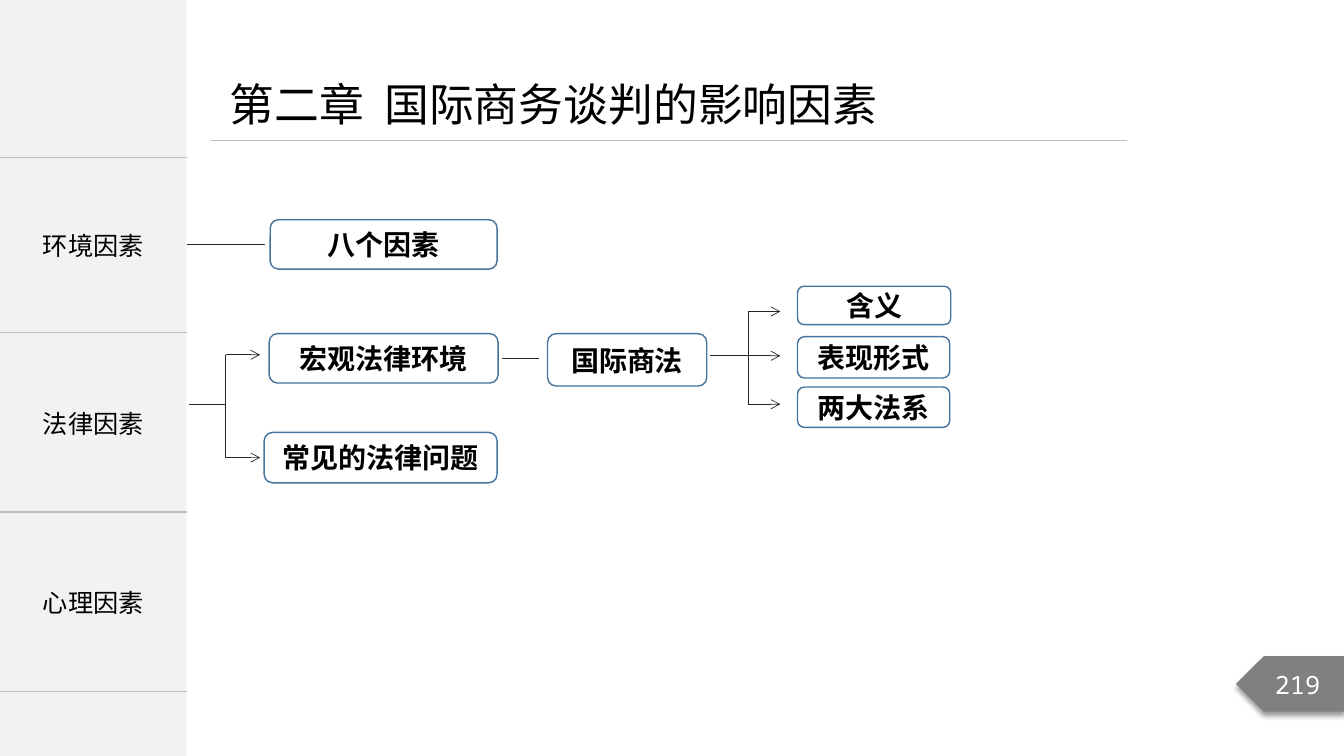
import pptx
import pptx.dml.color
import pptx.enum.shapes
import pptx.enum.text
import pptx.oxml
import pptx.oxml.ns
import pptx.util
from pptx.util import Inches

RGBColor = pptx.dml.color.RGBColor
SHAPE = pptx.enum.shapes.MSO_SHAPE
PP_ALIGN = pptx.enum.text.PP_ALIGN
MIDDLE = pptx.enum.text.MSO_ANCHOR.MIDDLE
BLACK = RGBColor(0x00, 0x00, 0x00)
WHITE = RGBColor(0xFF, 0xFF, 0xFF)
PANEL = RGBColor(0xF2, 0xF2, 0xF2)
RULE = RGBColor(0xBF, 0xBF, 0xBF)
TAG = RGBColor(0x80, 0x80, 0x80)
BLUE = RGBColor(0x43, 0x73, 0x9E)
DARK = RGBColor(0x26, 0x26, 0x26)
CJK = "Noto Sans CJK SC"
NS = pptx.oxml.ns.nsdecls("a")


def write(tf, text, size, font=CJK, color=BLACK, align=PP_ALIGN.CENTER, bold=False):
    p = tf.paragraphs[0]
    p.text = text
    p.alignment = align
    p.font.name = font
    p.font.size = pptx.util.Pt(size)
    p.font.bold = bold
    p.font.color.rgb = color
    # The East Asian typeface follows the Latin one
    latin = p.font._element.find(pptx.oxml.ns.qn("a:latin"))
    latin.addnext(pptx.oxml.parse_xml(f'<a:ea {NS} typeface="{font}"/>'))


def draw_line(x1, y1, x2, y2, color=DARK, arrow=False):
    c = s.shapes.add_connector(pptx.enum.shapes.MSO_CONNECTOR.STRAIGHT,
                               Inches(x1), Inches(y1), Inches(x2), Inches(y2))
    c.line.color.rgb = color
    c.line.width = pptx.util.Pt(0.5)
    if arrow:
        c.line._get_or_add_ln().append(
            pptx.oxml.parse_xml(f'<a:tailEnd {NS} type="arrow"/>'))
    c._element.spPr.append(pptx.oxml.parse_xml(f"<a:effectLst {NS}/>"))


prs = pptx.Presentation()
prs.slide_width, prs.slide_height = Inches(13.33), Inches(7.5)
s = prs.slides.add_slide(prs.slide_layouts[6])

# Sidebar
panel = s.shapes.add_shape(SHAPE.RECTANGLE, 0, 0, Inches(1.85), Inches(7.5))
panel.shadow.inherit = False
panel.fill.solid()
panel.fill.fore_color.rgb = PANEL
panel.line.fill.background()

factors = [("环境因素", 1.74), ("法律因素", 1.78), ("心理因素", 1.78)]
table = s.shapes.add_table(len(factors), 1, 0, Inches(1.56), Inches(1.85), Inches(5.3)).table
table.first_row = table.horz_banding = False
for i, (text, height) in enumerate(factors):
    table.rows[i].height = Inches(height)
    cell = table.cell(i, 0)
    cell.vertical_anchor = MIDDLE
    cell.fill.background()
    write(cell.text_frame, text, 18)
    tcPr = cell._tc.get_or_add_tcPr()
    grey = f'<a:solidFill><a:srgbClr val="{RULE}"/></a:solidFill>'
    sides = [("lnL", "<a:noFill/>"), ("lnR", "<a:noFill/>"), ("lnT", grey), ("lnB", grey)]
    for k, (side, paint) in enumerate(sides):
        tcPr.insert(k, pptx.oxml.parse_xml(f'<a:{side} {NS} w="12700">{paint}</a:{side}>'))

# Page number tag
tag = s.shapes.add_shape(SHAPE.PENTAGON, Inches(12.26), Inches(6.51), Inches(1.08), Inches(0.55))
tag._element.spPr.xfrm.set("flipH", "1")
tag.fill.solid()
tag.fill.fore_color.rgb = TAG
tag.line.fill.background()
tag._element.spPr.append(pptx.oxml.parse_xml(
    f'<a:effectLst {NS}><a:outerShdw blurRad="50800" dist="38100" dir="5400000">'
    '<a:srgbClr val="000000"><a:alpha val="40000"/></a:srgbClr></a:outerShdw></a:effectLst>'))
tag.text_frame.vertical_anchor = MIDDLE
write(tag.text_frame, "219", 18, "Noto Sans Mono", WHITE)

# Topic boxes
topics = [
    ("八个因素", 2.68, 2.18, 2.25, 0.49),
    ("宏观法律环境", 2.67, 3.31, 2.27, 0.49),
    ("常见的法律问题", 2.62, 4.29, 2.31, 0.5),
    ("国际商法", 5.43, 3.31, 1.58, 0.52),
    ("含义", 7.91, 2.84, 1.52, 0.38),
    ("表现形式", 7.91, 3.34, 1.51, 0.41),
    ("两大法系", 7.91, 3.84, 1.51, 0.4),
]
for text, *box in topics:
    sp = s.shapes.add_shape(SHAPE.ROUNDED_RECTANGLE, *map(Inches, box))
    sp.shadow.inherit = False
    sp.fill.background()
    sp.line.color.rgb = BLUE
    sp.line.width = pptx.util.Pt(1)
    tf = sp.text_frame
    tf.word_wrap = False
    tf.vertical_anchor = MIDDLE
    tf.margin_top = tf.margin_bottom = 0
    write(tf, text, 20, bold=True)
    tf.paragraphs[0].font._element.set("spc", "-10")

# Branches: stem start, trunk, arrow tip, stem height, branch heights
branches = [
    (1.87, 2.24, 2.58, 4.01, [3.52, 4.54]),
    (7.04, 7.42, 7.74, 3.53, [3.09, 3.53, 4.01]),
]
for start, trunk, tip, stem, heights in branches:
    draw_line(start, stem, trunk, stem)
    draw_line(trunk, heights[0], trunk, heights[-1])
    for y in heights:
        draw_line(trunk, y, tip, y, arrow=True)
draw_line(4.98, 3.56, 5.35, 3.56)
draw_line(1.85, 2.42, 2.63, 2.42)

# Title
draw_line(2.09, 1.39, 11.18, 1.39, RULE)
title = s.shapes.add_textbox(Inches(2.18), Inches(0.71), Inches(6.93), Inches(0.64))
title.text_frame.word_wrap = False
write(title.text_frame, "第二章  国际商务谈判的影响因素", 32, align=PP_ALIGN.LEFT)

prs.save("out.pptx")
